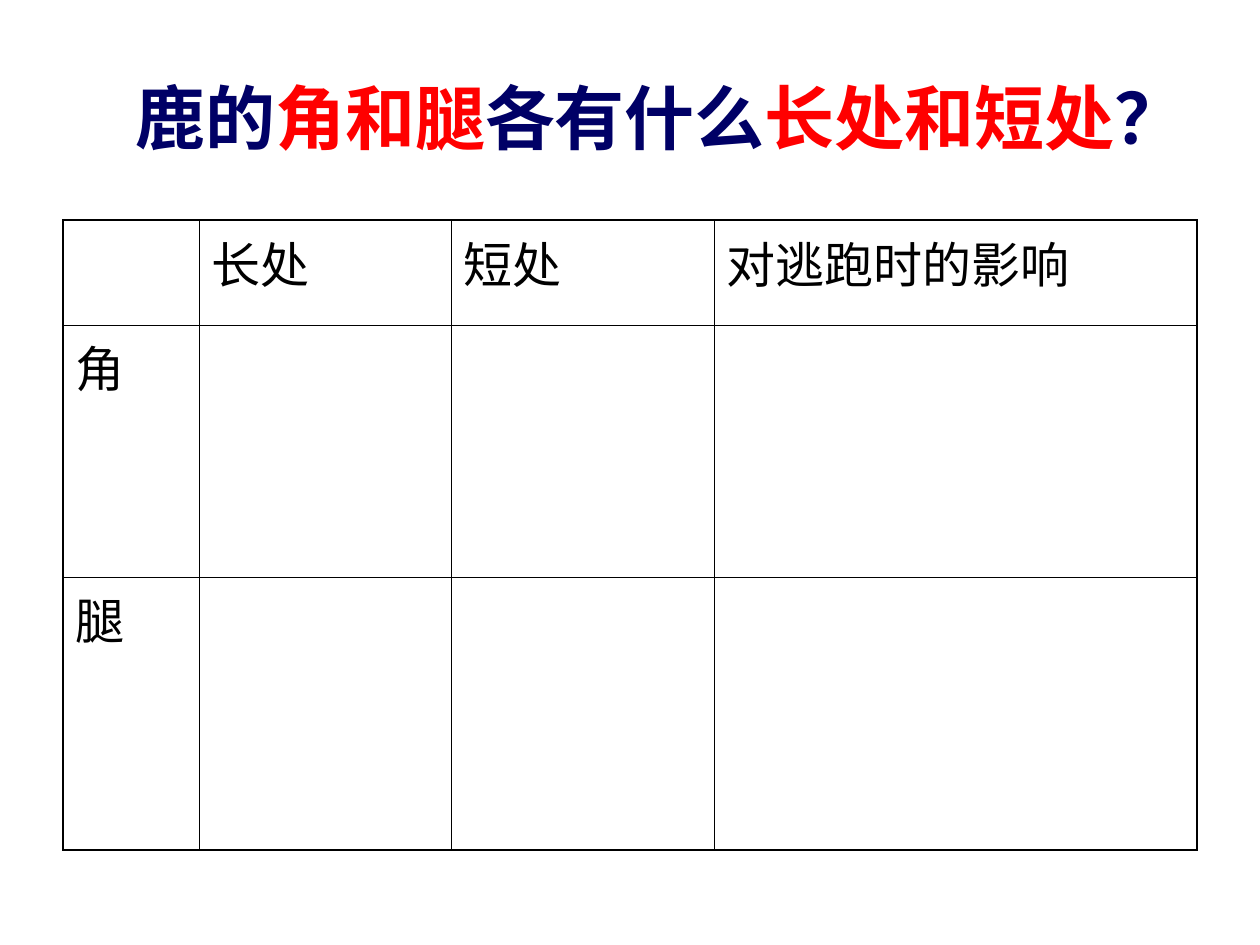
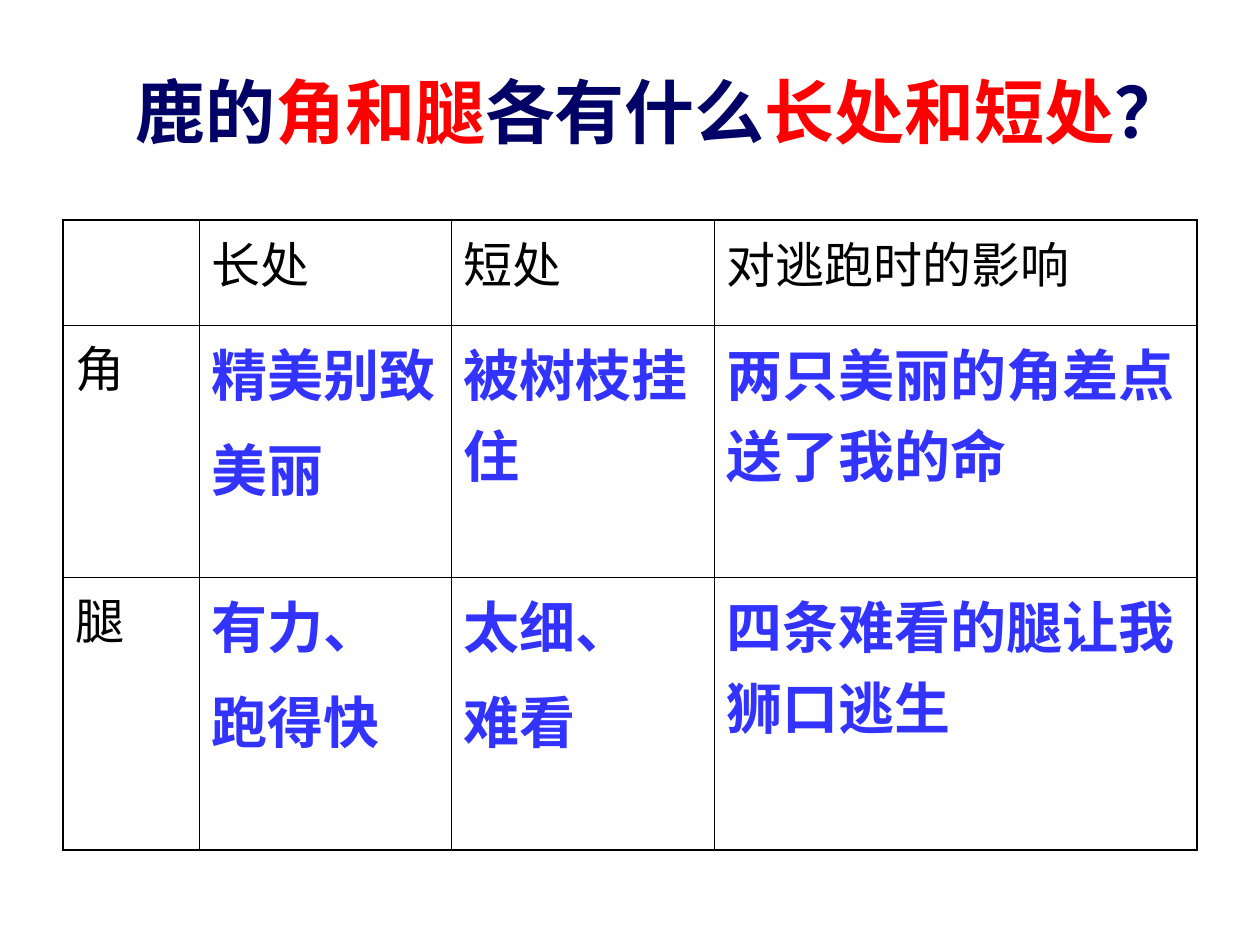
from dataclasses import dataclass

from lxml.etree import SubElement
from pptx import Presentation
from pptx.dml.color import RGBColor
from pptx.enum.lang import MSO_LANGUAGE_ID
from pptx.enum.text import MSO_ANCHOR, MSO_AUTO_SIZE, PP_ALIGN
from pptx.oxml.ns import qn
from pptx.util import Emu, Pt

# Content
QUESTION = [("鹿的", "navy"), ("角和腿", "red"), ("各有什么", "navy"),
            ("长处和短处", "red"), ("？", "navy")]
HEADINGS = ["", "长处", "短处", "对逃跑时的影响"]
BODY_PARTS = ["角", "腿"]
BLANK_ANSWERS = [["", "", ""], ["", "", ""]]
ANSWERS = [
    ["精美别致\n美丽", "被树枝挂住", "两只美丽的角差点送了我的命"],
    ["有力、\n跑得快", "太细、\n难看", "四条难看的腿让我狮口逃生"],
]
SLIDES = [{"title_top": 38, "answers": BLANK_ANSWERS},
          {"title_top": 32, "answers": ANSWERS}]

# Layout in px, 126 to the inch
PX = 914400 // 126
SLIDE_SIZE = (1260, 945)
MARGIN = 63
TITLE_HEIGHT = 158
TABLE_TOP = 220
COLUMN_WIDTHS = [136, 252, 263, 483]
ROW_HEIGHTS = [105, 252, 273]
CONTENT_WIDTH = sum(COLUMN_WIDTHS)


@dataclass(frozen=True)
class Theme:
    font: str = "Arial"
    navy: str = "000066"
    red: str = "FF0000"
    label: str = "000000"
    answer: str = "3333FF"
    border: str = "000000"
    title_size: int = 40
    label_size: int = 28
    answer_size: int = 32
    outer_line: float = 1.08
    inner_line: float = 0.45
    paragraph_gap: int = 8


THEME = Theme()


def px(length):
    return Emu(length * PX)


def style_font(font, size, bold, color=None):
    font.name, font.size, font.bold = THEME.font, Pt(size), bold
    font.language_id = MSO_LANGUAGE_ID.SIMPLIFIED_CHINESE
    if color:
        font.color.rgb = RGBColor.from_string(color)


def add_question(slide, top):
    title = slide.shapes.title
    title.left, title.top = px(MARGIN), px(top)
    title.width, title.height = px(CONTENT_WIDTH), px(TITLE_HEIGHT)
    frame = title.text_frame
    frame.auto_size = MSO_AUTO_SIZE.NONE
    frame.word_wrap = True
    frame.vertical_anchor = MSO_ANCHOR.MIDDLE
    question = frame.paragraphs[0]
    question.alignment = PP_ALIGN.RIGHT
    style_font(question.font, THEME.title_size, True)
    for words, color in QUESTION:
        run = question.add_run()
        run.text = words
        run.font.color.rgb = RGBColor.from_string(getattr(THEME, color))


def set_borders(cell, outer_edges):
    """Draw the four borders; outer_edges maps each side to whether it is outer."""
    properties = cell._tc.get_or_add_tcPr()
    for side, is_outer in outer_edges.items():
        width = Pt(THEME.outer_line if is_outer else THEME.inner_line)
        line = SubElement(properties, qn(f"a:ln{side}"), w=str(int(width)))
        fill = SubElement(line, qn("a:solidFill"))
        SubElement(fill, qn("a:srgbClr"), val=THEME.border)


def fill_cell(cell, words, is_answer):
    cell.fill.background()
    if not words:
        return
    cell.text = words
    for index, paragraph in enumerate(cell.text_frame.paragraphs):
        if index:
            paragraph.space_before = Pt(THEME.paragraph_gap)
        if is_answer:
            style_font(paragraph.font, THEME.answer_size, True, THEME.answer)
        else:
            style_font(paragraph.font, THEME.label_size, False, THEME.label)


def add_comparison(slide, answers):
    rows = [HEADINGS] + [[part, *row] for part, row in zip(BODY_PARTS, answers)]
    last_row, last_column = len(rows) - 1, len(HEADINGS) - 1
    table = slide.shapes.add_table(
        len(rows), len(HEADINGS), px(MARGIN), px(TABLE_TOP),
        px(CONTENT_WIDTH), px(sum(ROW_HEIGHTS))).table
    table.first_row = table.horz_banding = False
    for column, width in zip(table.columns, COLUMN_WIDTHS):
        column.width = px(width)
    for row, height in zip(table.rows, ROW_HEIGHTS):
        row.height = px(height)
    for r, row in enumerate(rows):
        for c, words in enumerate(row):
            cell = table.cell(r, c)
            set_borders(cell, {"L": c == 0, "R": c == last_column,
                               "T": r == 0, "B": r == last_row})
            fill_cell(cell, words, is_answer=r > 0 and c > 0)


def main():
    deck = Presentation()
    deck.slide_width, deck.slide_height = map(px, SLIDE_SIZE)
    title_only = deck.slide_layouts[5]
    for content in SLIDES:
        slide = deck.slides.add_slide(title_only)
        add_question(slide, content["title_top"])
        add_comparison(slide, content["answers"])
    deck.save("out.pptx")


if __name__ == "__main__":
    main()
